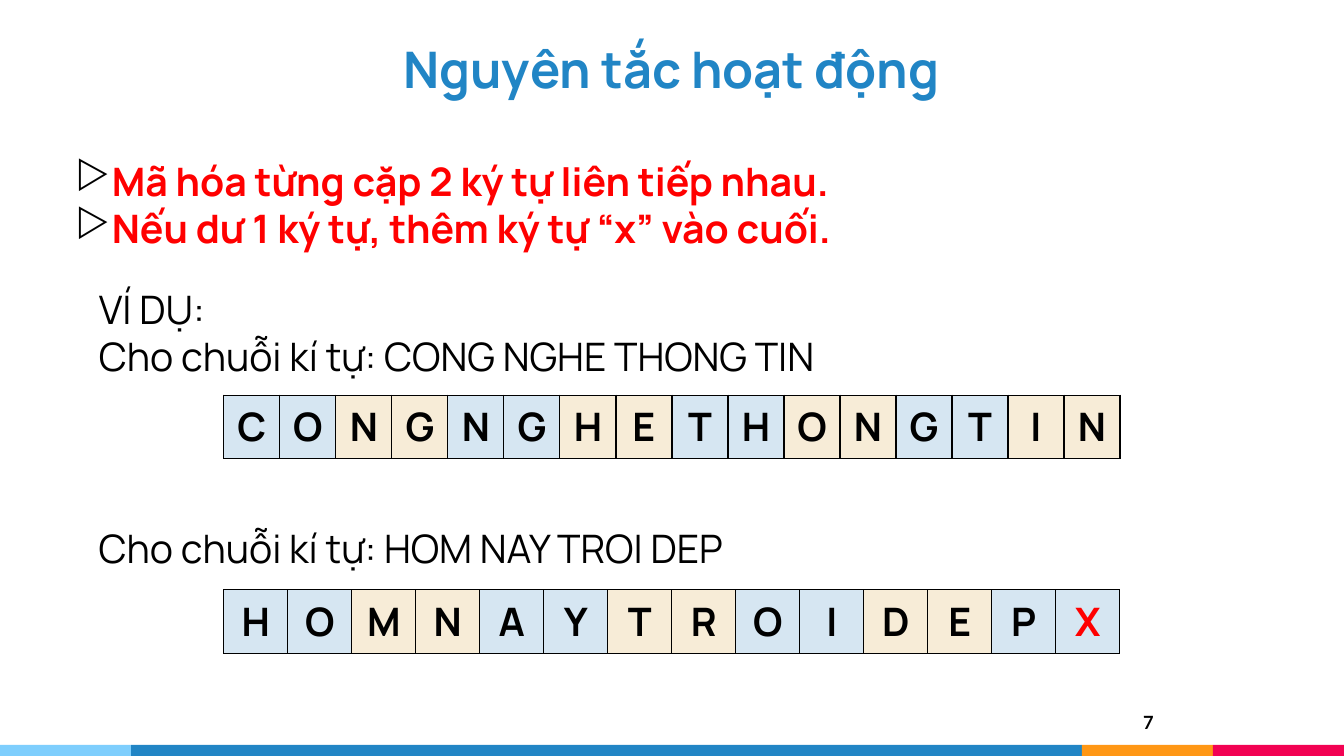
from lxml import etree
from pptx import Presentation
from pptx.dml.color import RGBColor
from pptx.enum import shapes, text
from pptx.oxml import ns
from pptx.util import Inches, Pt

BLACK = RGBColor(0x00, 0x00, 0x00)
RED = RGBColor(0xFF, 0x00, 0x00)
BLUE = RGBColor(0x21, 0x85, 0xC5)
SKY = RGBColor(0x7E, 0xCE, 0xFD)
ORANGE = RGBColor(0xFF, 0x97, 0x15)
PINK = RGBColor(0xF2, 0x02, 0x53)
PALE_BLUE = RGBColor(0xD6, 0xE6, 0xF2)
CREAM = RGBColor(0xF7, 0xEC, 0xD7)
ALIGN = text.PP_ALIGN


def write_line(paragraph, words, size=28, color=BLACK, bold=False,
               align=ALIGN.JUSTIFY, font="Manrope"):
    """Write one formatted run into a paragraph."""
    paragraph.alignment = align
    paragraph.space_before = Pt(0)
    run = paragraph.add_run()
    run.text = words
    run.font.name, run.font.size, run.font.bold = font, Pt(size), bold
    run.font.color.rgb = color


def set_bullet(paragraph, indent=0, symbol=None):
    """Set the left margin and the black bullet, or no bullet."""
    properties = paragraph._p.get_or_add_pPr()
    properties.set("marL", str(Inches(indent)))
    properties.set("indent", "0")
    if symbol:
        color = etree.SubElement(properties, ns.qn("a:buClr"))
        etree.SubElement(color, ns.qn("a:srgbClr"), val=str(BLACK))
        etree.SubElement(properties, ns.qn("a:buChar"), char=symbol)
    else:
        etree.SubElement(properties, ns.qn("a:buNone"))


def place(shape, left, top, width, height):
    """Move a shape to a box given in inches."""
    shape.left, shape.top = Inches(left), Inches(top)
    shape.width, shape.height = Inches(width), Inches(height)


def set_frame(frame, inset=0.05, wrap=True, anchor=text.MSO_ANCHOR.TOP):
    """Set the wrapping, anchor and vertical insets of a text frame."""
    frame.auto_size = text.MSO_AUTO_SIZE.NONE
    frame.word_wrap = wrap
    frame.vertical_anchor = anchor
    frame.margin_left = frame.margin_right = Inches(0.1)
    frame.margin_top = frame.margin_bottom = Inches(inset)


def add_footer_band(slide, left, top, width, height):
    """Draw the four-colour band along the bottom."""
    end = 1.3
    middle = width - 3 * end
    for color, part in ((SKY, end), (BLUE, middle), (ORANGE, end), (PINK, end)):
        band = slide.shapes.add_shape(
            shapes.MSO_SHAPE.RECTANGLE, Inches(left), Inches(top),
            Inches(part), Inches(height))
        band.shadow.inherit = False
        band.fill.solid()
        band.fill.fore_color.rgb = color
        band.line.fill.background()
        left += part


def add_title(slide, words, left, top, width, height):
    """Fill the title placeholder."""
    title = slide.shapes.title
    place(title, left, top, width, height)
    set_frame(title.text_frame, 0.1, anchor=text.MSO_ANCHOR.BOTTOM)
    write_line(title.text_frame.paragraphs[0], words, 36, BLUE, True, ALIGN.CENTER)


def fill_lines(frame, lines, indent=0, symbol=None, **style):
    """Write a list of lines, each in its own paragraph."""
    for index, words in enumerate(lines):
        paragraph = frame.add_paragraph() if index else frame.paragraphs[0]
        write_line(paragraph, words, **style)
        set_bullet(paragraph, indent, symbol)


def add_text(slide, lines, left, top, width, height, inset=0.05, wrap=False,
             indent=0, symbol=None, **style):
    """Add a text box holding the given lines."""
    box = slide.shapes.add_textbox(
        Inches(left), Inches(top), Inches(width), Inches(height))
    set_frame(box.text_frame, inset, wrap)
    fill_lines(box.text_frame, lines, indent, symbol, **style)


def add_example(slide, lines, left, top, width, height):
    """Fill the body placeholder with the example's opening lines."""
    body = slide.placeholders[1]
    place(body, left, top, width, height)
    set_frame(body.text_frame, 0.1)
    fill_lines(body.text_frame, lines, indent=0.04)


def set_borders(cell):
    """Give a cell thin black borders ahead of its fill."""
    properties = cell._tc.get_or_add_tcPr()
    for index, side in enumerate(("a:lnL", "a:lnR", "a:lnT", "a:lnB")):
        border = etree.Element(ns.qn(side), w=str(Pt(1)))
        fill = etree.SubElement(border, ns.qn("a:solidFill"))
        etree.SubElement(fill, ns.qn("a:srgbClr"), val=str(BLACK))
        properties.insert(index, border)


def add_letter_pairs(slide, phrase, left, top, width, height):
    """Lay out a phrase's letters in pairs, padding an odd count with X."""
    letters = phrase.replace(" ", "")
    padded = letters + "X" * (len(letters) % 2)
    grid = slide.shapes.add_table(
        1, len(padded), Inches(left), Inches(top), Inches(width), Inches(height)).table
    grid.first_row = grid.horz_banding = False
    for index, letter in enumerate(padded):
        grid.columns[index].width = Inches(width / len(padded))
        cell = grid.cell(0, index)
        cell.fill.solid()
        cell.fill.fore_color.rgb = CREAM if index // 2 % 2 else PALE_BLUE
        set_borders(cell)
        write_line(cell.text_frame.paragraphs[0], letter, bold=True,
                   color=BLACK if index < len(letters) else RED, align=ALIGN.CENTER)


def build_principle_slide(deck):
    """Build the slide on how the cipher works."""
    slide = deck.slides.add_slide(deck.slide_layouts[1])
    intro = "Cho chuỗi kí tự: "
    even_phrase, odd_phrase = "CONG NGHE THONG TIN", "HOM NAY TROI DEP"
    add_footer_band(slide, 0, 7.39, 13.33, 0.11)
    add_title(slide, "Nguyên tắc hoạt động", 2.64, 0.17, 8.04, 0.91)
    add_text(slide, ["7"], 10.94, 6.96, 0.6, 0.46, inset=0.1, wrap=True,
             size=13, bold=True, align=ALIGN.RIGHT, font="Lato")
    add_text(slide, ["Mã hóa từng cặp 2 ký tự liên tiếp nhau.",
                     "Nếu dư 1 ký tự, thêm ký tự “x” vào cuối."],
             0.65, 1.51, 7.98, 1.04, symbol="▷", color=RED, bold=True)
    add_example(slide, ["VÍ DỤ:", intro + even_phrase], 0.84, 2.73, 12.01, 1.2)
    add_letter_pairs(slide, even_phrase, 2.22, 3.92, 8.89, 0.57)
    add_text(slide, [intro + odd_phrase], 0.84, 5.15, 6.81, 0.57, indent=0.04)
    add_letter_pairs(slide, odd_phrase, 2.22, 5.85, 8.89, 0.57)


def main():
    """Create and save the deck."""
    deck = Presentation()
    deck.slide_width, deck.slide_height = Inches(13.33), Inches(7.5)
    build_principle_slide(deck)
    deck.save("out.pptx")


if __name__ == "__main__":
    main()
